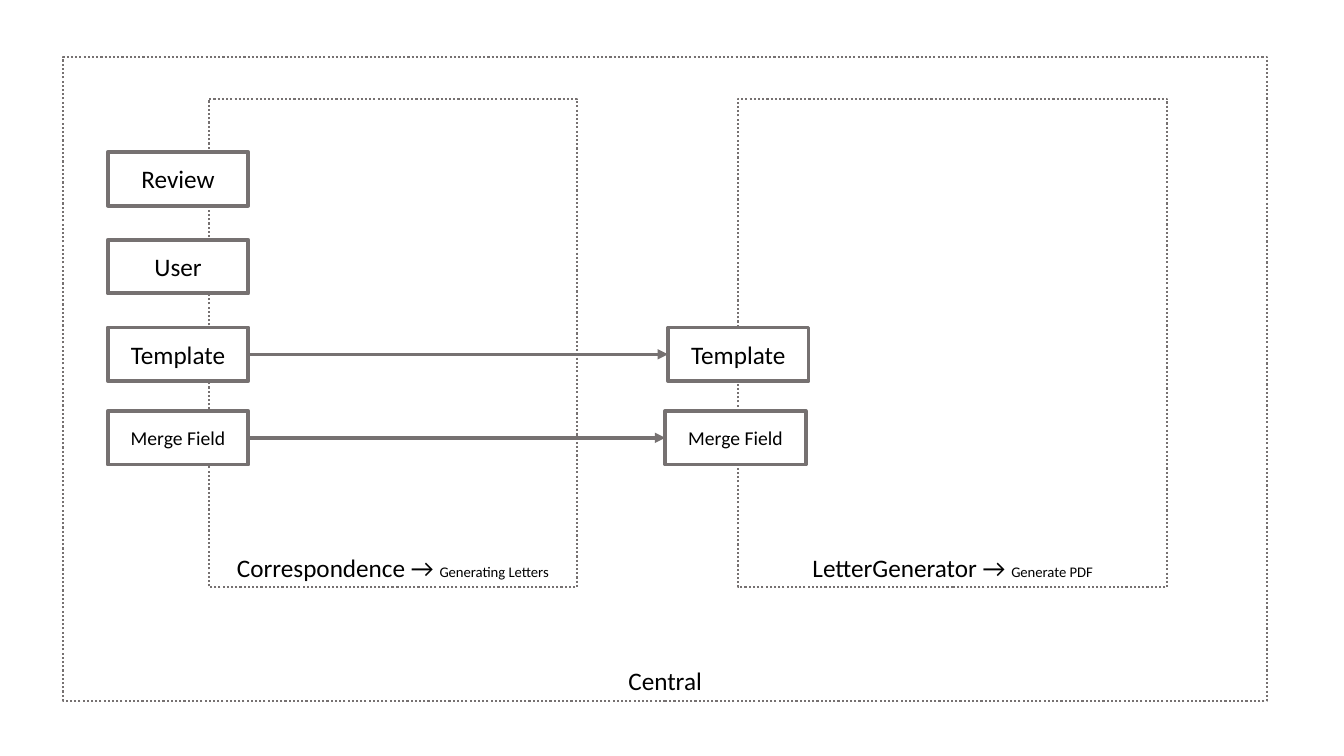
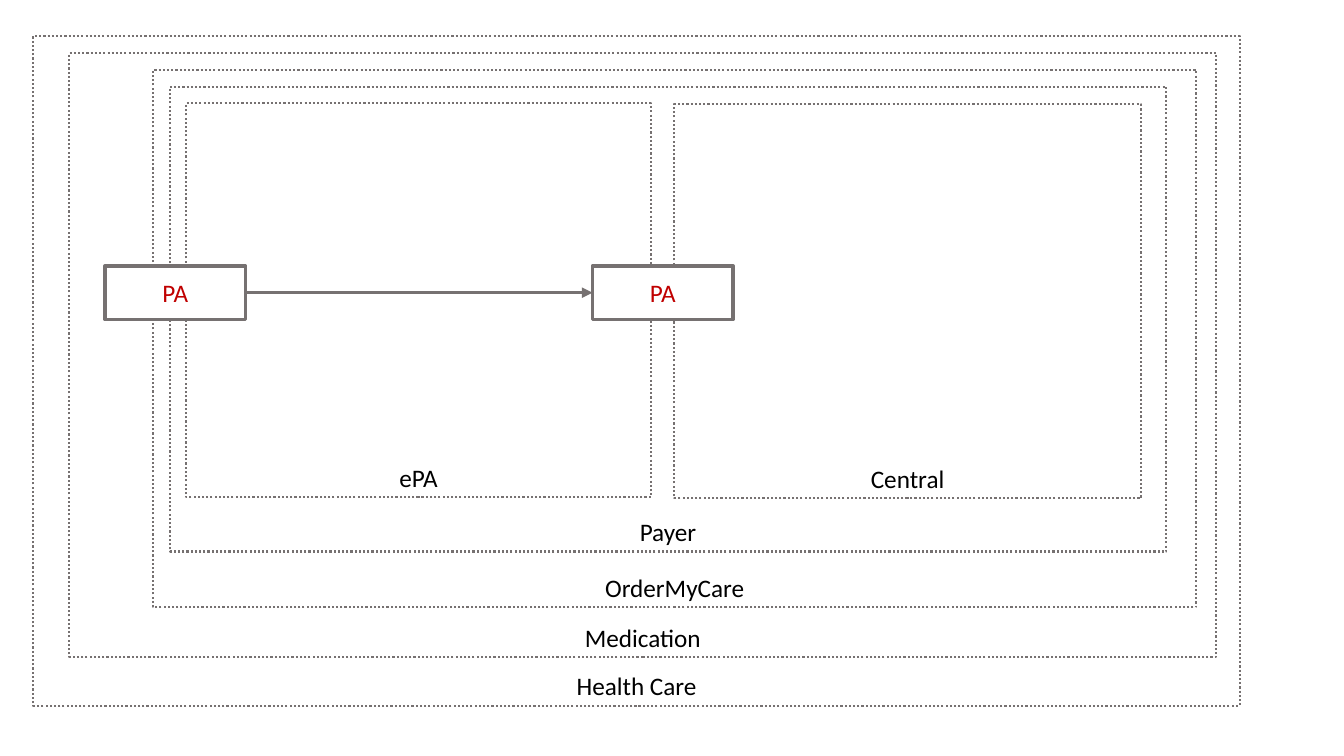
from lxml import etree
from pptx import Presentation
from pptx import util as u
from pptx.dml.color import RGBColor
from pptx.enum import dml, shapes, text
from pptx.oxml.ns import qn


def rgb(value):
    return RGBColor.from_string(value)


class Deck:
    FONT = "Calibri"
    WHITE, GREY, BLACK, RED = "FFFFFF", "767171", "000000", "C00000"
    ENTITY_W, ENTITY_H = 100.4, 38.2

    def __init__(self):
        self.prs = Presentation()
        self.prs.slide_width, self.prs.slide_height = u.Pt(960), u.Pt(540)
        self.s = None

    def new_slide(self):
        self.s = self.prs.slides.add_slide(self.prs.slide_layouts[6])

    def _box(self, runs, box, anchor, line_width, color):
        """Draw a white rectangle; runs holds (text, size) pairs."""
        sp = self.s.shapes.add_shape(shapes.MSO_SHAPE.RECTANGLE, *map(u.Pt, box))
        sp.shadow.inherit = False
        sp.fill.solid()
        sp.fill.fore_color.rgb = rgb(self.WHITE)
        sp.line.color.rgb = rgb(self.GREY)
        sp.line.width = u.Pt(line_width)
        tf = sp.text_frame
        tf.word_wrap = True
        tf.vertical_anchor = anchor
        p = tf.paragraphs[0]
        p.alignment = text.PP_ALIGN.CENTER
        for words, size in runs:
            r = p.add_run()
            r.text = words
            for name, value in {"name": self.FONT, "size": u.Pt(size)}.items():
                setattr(r.font, name, value)
            r.font.color.rgb = rgb(color)
        return sp

    def context(self, label, *box, note=None):
        """Draw a dotted boundary labelled at its foot."""
        runs = [(label, 18)] + ([(note, 10.5)] if note else [])
        sp = self._box(runs, box, text.MSO_ANCHOR.BOTTOM, 1.5, self.BLACK)
        sp.line.dash_style = dml.MSO_LINE.ROUND_DOT

    def entity(self, label, x, y, size=18, color=BLACK):
        box = (x, y, self.ENTITY_W, self.ENTITY_H)
        return self._box([(label, size)], box, text.MSO_ANCHOR.MIDDLE, 2.75, color)

    def arrow(self, start, end):
        """Join the right side of start to the left side of end."""
        line = self.s.shapes.add_connector(shapes.MSO_CONNECTOR.STRAIGHT, 0, 0, 0, 0)
        line.begin_connect(start, 3)
        line.end_connect(end, 1)
        line.line.color.rgb = rgb(self.GREY)
        line.line.width = u.Pt(2.5)
        ln = line.line._get_or_add_ln()
        etree.SubElement(ln, qn("a:tailEnd"), type="triangle")
        etree.SubElement(line._element.spPr, qn("a:effectLst"))


def letters_slide(deck):
    deck.new_slide()
    deck.context("Central", 45.2, 40.5, 859.8, 460)
    deck.context("Correspondence → ", 149.3, 70.4, 262.8, 349.2, note="Generating Letters")
    deck.context("LetterGenerator → ", 527.2, 70.4, 306.7, 349.2, note="Generate PDF")
    left = 77
    for i, label in enumerate(("Review", "User")):
        deck.entity(label, left, 108.7 + 62.7 * i)
    for label, right, y, size in (("Template", 477.2, 234, 18),
                                  ("Merge Field", 475.2, 293.6, 14)):
        deck.arrow(deck.entity(label, left, y, size), deck.entity(label, right, y, size))


def payer_slide(deck):
    deck.new_slide()
    for label, *box in (("Health Care", 23.8, 25.8, 861.8, 478.3),
                        ("Medication", 49.4, 38, 819.4, 431.3),
                        ("OrderMyCare", 109.3, 50, 745.2, 383.6),
                        ("Payer", 121.2, 62, 712, 332),
                        ("ePA", 133, 73.9, 332, 281.3),
                        ("Central", 481.6, 74.6, 333.4, 281.3)):
        deck.context(label, *box)
    source, target = (deck.entity("PA", x, 190, color=deck.RED) for x in (75, 423.2))
    deck.arrow(source, target)


def main():
    deck = Deck()
    letters_slide(deck)
    payer_slide(deck)
    deck.prs.save("out.pptx")


if __name__ == "__main__":
    main()
